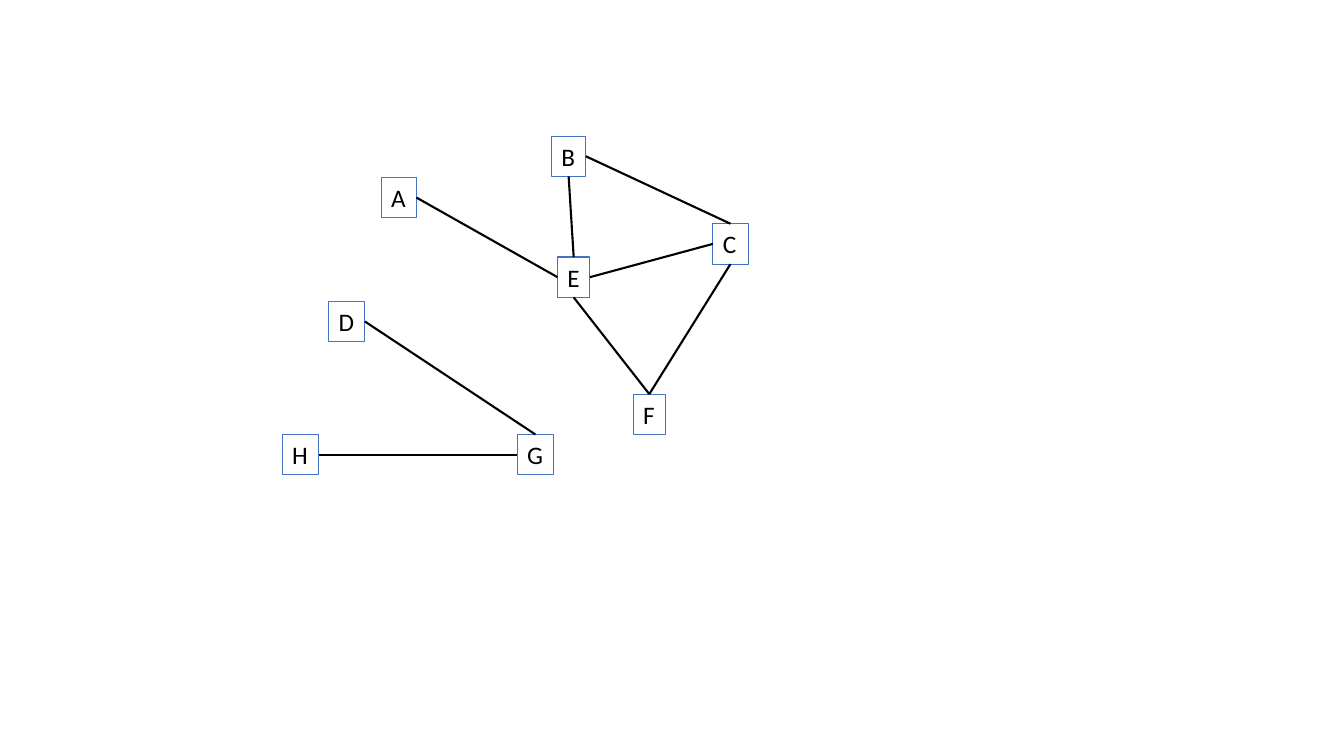
"""Draw an undirected graph of eight labelled nodes."""
from dataclasses import dataclass

import pptx
import pptx.dml.color
import pptx.enum.shapes
import pptx.enum.text
import pptx.oxml
import pptx.util
from pptx.util import Inches


@dataclass(frozen=True)
class Theme:
    """Colours, font and sizes of the slide."""
    font: str = "Calibri"
    label_size: float = 18
    text: str = "000000"
    border: str = "4472C4"
    edge: str = "000000"
    border_width: float = 0.75
    edge_width: float = 1.5


THEME = Theme()
NODE_HEIGHT = 0.4
TOP, LEFT, BOTTOM, RIGHT = range(4)

NODES = {
    "A": (3.78, 1.76, 0.35),
    "B": (5.47, 1.35, 0.34),
    "C": (7.07, 2.22, 0.35),
    "D": (3.26, 2.99, 0.36),
    "E": (5.53, 2.55, 0.32),
    "H": (2.8, 4.31, 0.36),
    "G": (5.13, 4.31, 0.36),
    "F": (6.28, 3.91, 0.32),
}

EDGES = [
    ("E", LEFT, "A", RIGHT),
    ("G", TOP, "D", RIGHT),
    ("E", TOP, "B", BOTTOM),
    ("E", BOTTOM, "F", TOP),
    ("E", RIGHT, "C", LEFT),
    ("C", TOP, "B", RIGHT),
    ("C", BOTTOM, "F", TOP),
    ("G", LEFT, "H", RIGHT),
]


def rgb(value):
    """Turn a hex string into a colour."""
    return pptx.dml.color.RGBColor.from_string(value)


def write_text(shape, text, *, size=THEME.label_size, color=THEME.text, font=THEME.font):
    """Write one formatted line of text into a shape."""
    run = shape.text_frame.paragraphs[0].add_run()
    run.text = text
    run.font.name = font
    run.font.size = pptx.util.Pt(size)
    run.font.color.rgb = rgb(color)


def style_line(line, color, width):
    """Set the colour and width of a line."""
    line.color.rgb = rgb(color)
    line.width = pptx.util.Pt(width)


def add_node(slide, label, left, top, width):
    """Add a bordered box that fits its label."""
    shape = slide.shapes.add_textbox(
        Inches(left), Inches(top), Inches(width), Inches(NODE_HEIGHT))
    shape.text_frame.word_wrap = False
    shape.text_frame.auto_size = pptx.enum.text.MSO_AUTO_SIZE.SHAPE_TO_FIT_TEXT
    style_line(shape.line, THEME.border, THEME.border_width)
    write_text(shape, label)
    return shape


def add_edge(slide, start, start_side, end, end_side):
    """Join the sides of two nodes with a straight line."""
    connector = slide.shapes.add_connector(
        pptx.enum.shapes.MSO_CONNECTOR.STRAIGHT, 0, 0, 0, 0)
    connector.begin_connect(start, start_side)
    connector.end_connect(end, end_side)
    style_line(connector.line, THEME.edge, THEME.edge_width)
    properties = connector._element.spPr
    properties.append(pptx.oxml.parse_xml(
        '<a:effectLst xmlns:a="http://schemas.openxmlformats.org/drawingml/2006/main"/>'))


def main():
    """Build the graph slide and save it."""
    presentation = pptx.Presentation()
    presentation.slide_width = Inches(13.33)
    presentation.slide_height = Inches(7.5)
    slide = presentation.slides.add_slide(presentation.slide_layouts[6])
    nodes = {label: add_node(slide, label, *place) for label, place in NODES.items()}
    for start, start_side, end, end_side in EDGES:
        add_edge(slide, nodes[start], start_side, nodes[end], end_side)
    presentation.save("out.pptx")


if __name__ == "__main__":
    main()
